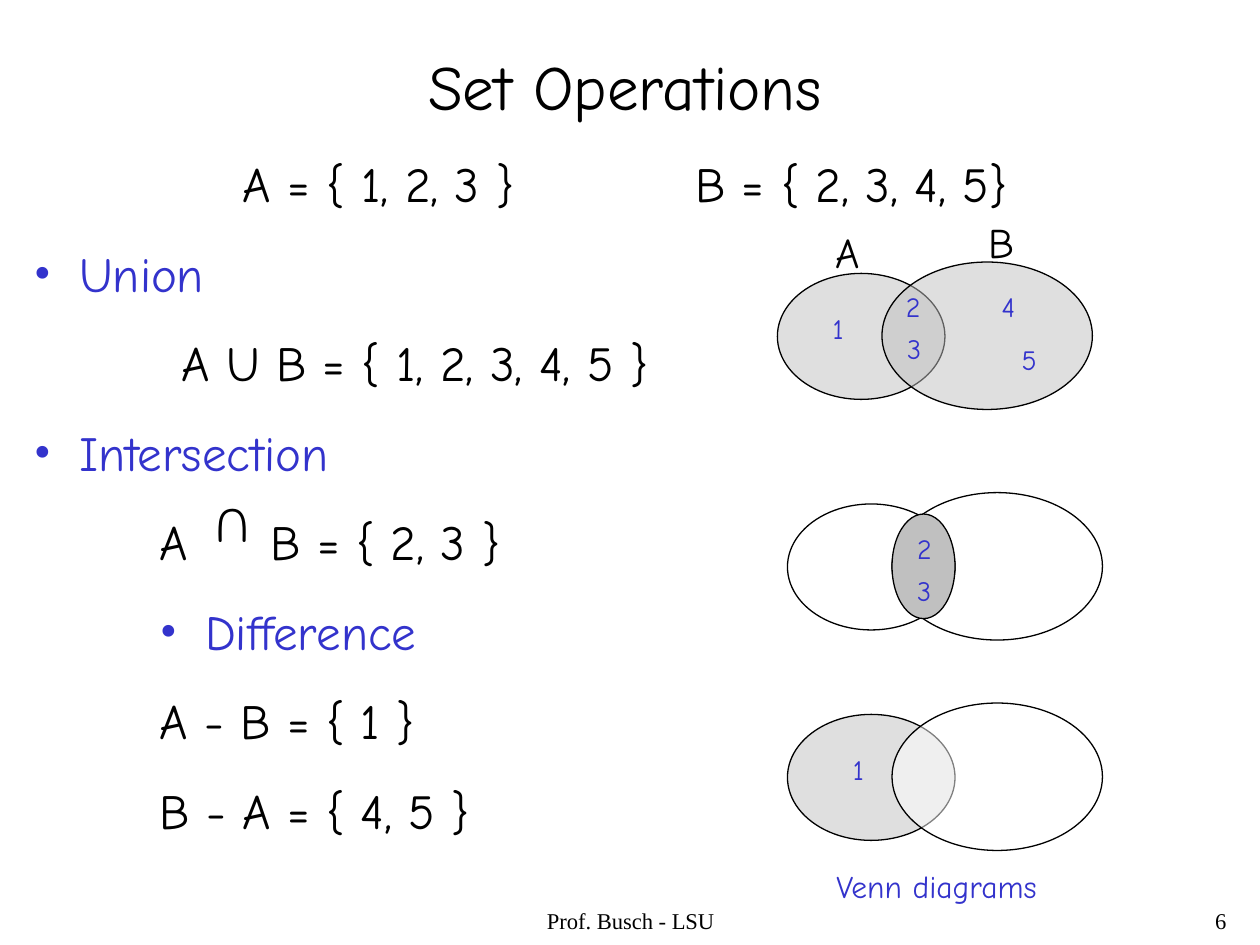
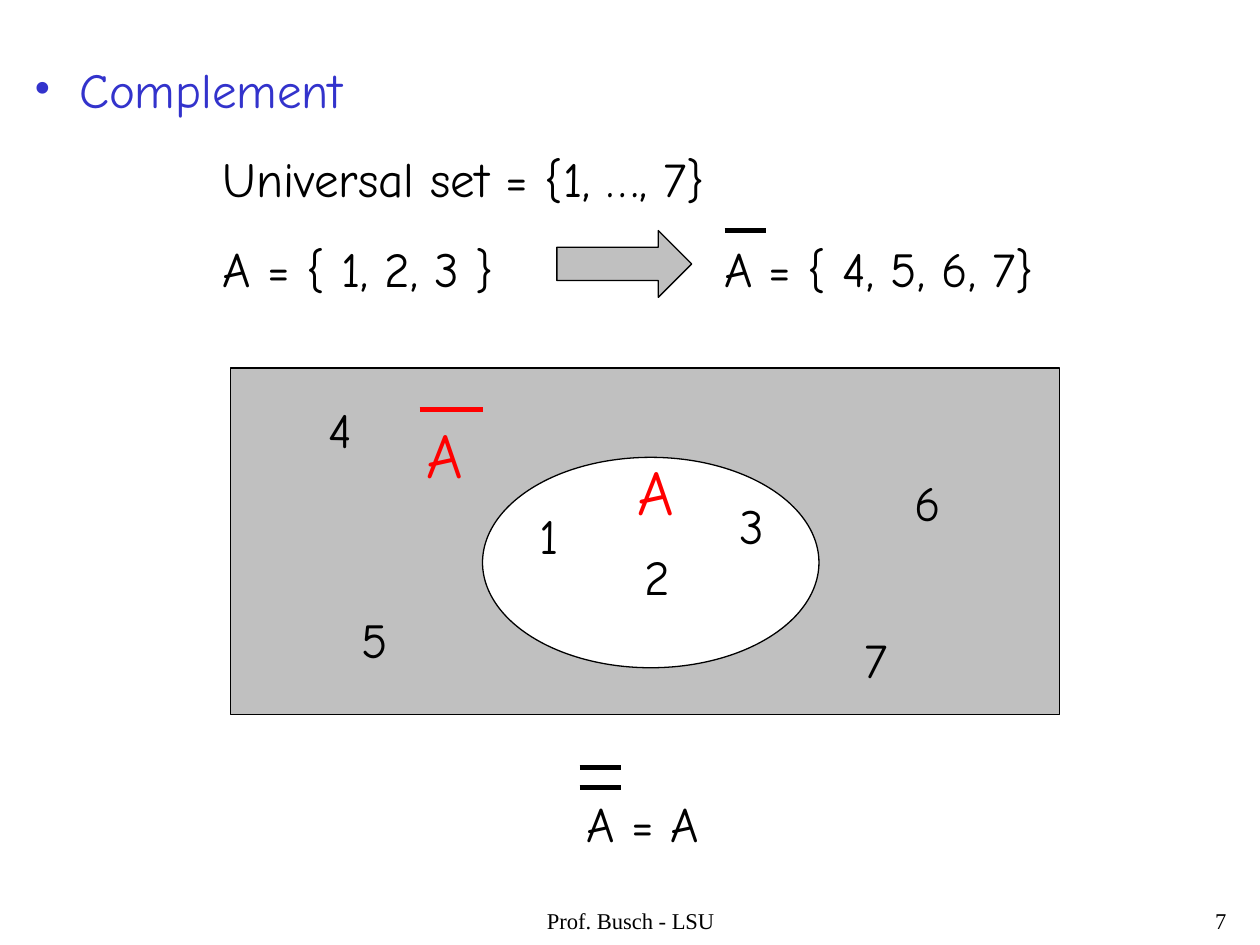
from dataclasses import dataclass
from typing import Optional

from lxml import etree
from pptx import Presentation
from pptx import util as u
from pptx.dml import color as dml
from pptx.enum import shapes, text
from pptx.oxml import ns

Inches, Pt = u.Inches, u.Pt


@dataclass(frozen=True)
class Theme:
    hand: str = "Comic Neue"
    serif: str = "Times New Roman"
    black: str = "000000"
    blue: str = "3333CC"
    red: str = "FF0000"
    gray: str = "C0C0C0"
    white: str = "FFFFFF"
    title: float = 36
    body: float = 28
    name: float = 24
    note: float = 18
    small: float = 16
    foot: float = 12.9
    gap: float = 17.5
    thin: float = 0.75
    bar: float = 3
    hang: float = 0.36


T = Theme()
SHAPE, ALIGN = shapes.MSO_SHAPE, text.PP_ALIGN


@dataclass(frozen=True)
class Para:
    text: str
    color: str = T.black
    size: float = T.body
    left: float = 0
    bullet: bool = False
    tabs: tuple[float, ...] = ()
    align: ALIGN = ALIGN.LEFT


@dataclass(frozen=True)
class Label:
    text: str
    x: float
    y: float
    w: float
    h: float


@dataclass(frozen=True)
class Fill:
    color: str
    alpha: int = 100


@dataclass(frozen=True)
class Bar:
    x: float
    y: float
    w: float
    color: str = T.black


def rgb(code: str) -> dml.RGBColor:
    return dml.RGBColor.from_string(code)


def sub(node, tag: str, **attrs):
    return etree.SubElement(node, ns.qn(tag), **attrs)


def style(par, size: float, color: str, font: str = T.hand) -> None:
    for run in par.runs:
        run.font.size = Pt(size)
        run.font.name = font
        run.font.color.rgb = rgb(color)


def add_box(slide, x: float, y: float, w: float, h: float, wrap: bool = True):
    box = slide.shapes.add_textbox(Inches(x), Inches(y), Inches(w), Inches(h))
    box.text_frame.word_wrap = wrap
    return box


def add_label(slide, item: Label, size: float, color: str = T.black) -> None:
    frame = add_box(slide, item.x, item.y, item.w, item.h, False).text_frame
    frame.text = item.text
    style(frame.paragraphs[0], size, color)


def add_text(slide, x: float, y: float, w: float, h: float,
             items: list[Para]) -> None:
    frame = add_box(slide, x, y, w, h).text_frame
    for i, item in enumerate(items):
        par = frame.add_paragraph() if i else frame.paragraphs[0]
        par.text = item.text
        par.alignment = item.align
        if i:
            par.space_before = Pt(T.gap)
        props = par._p.get_or_add_pPr()
        if item.bullet:
            props.set("marL", str(Inches(item.left + T.hang)))
            props.set("indent", str(Inches(-T.hang)))
            tint = sub(props, "a:buClr")
            sub(tint, "a:srgbClr", val=item.color)
            sub(props, "a:buFont", typeface=T.serif)
            sub(props, "a:buChar", char="•")
        elif item.left:
            props.set("marL", str(Inches(item.left)))
        # Tab stops only hold on paragraphs without an indent
        if item.tabs:
            stops = sub(props, "a:tabLst")
            for stop in item.tabs:
                sub(stops, "a:tab", pos=str(Inches(stop)), algn="l")
        style(par, item.size, item.color)


def add_form(slide, kind: SHAPE, x: float, y: float, w: float, h: float,
             fill: Optional[Fill] = None):
    form = slide.shapes.add_shape(kind, Inches(x), Inches(y),
                                  Inches(w), Inches(h))
    form.shadow.inherit = False
    form.line.color.rgb = rgb(T.black)
    form.line.width = Pt(T.thin)
    if fill is None:
        form.fill.background()
        return form
    form.fill.solid()
    form.fill.fore_color.rgb = rgb(fill.color)
    if fill.alpha < 100:
        tint = form._element.spPr.find(".//" + ns.qn("a:srgbClr"))
        sub(tint, "a:alpha", val=str(fill.alpha * 1000))
    return form


def add_bar(slide, bar: Bar) -> None:
    line = slide.shapes.add_connector(
        shapes.MSO_CONNECTOR.STRAIGHT, Inches(bar.x), Inches(bar.y),
        Inches(bar.x + bar.w), Inches(bar.y))
    line.line.color.rgb = rgb(bar.color)
    line.line.width = Pt(T.bar)
    sub(line._element.spPr, "a:effectLst")


def add_venn(slide, x: float, y: float, left: Optional[Fill] = None,
             right: Optional[Fill] = None) -> None:
    add_form(slide, SHAPE.OVAL, x, y, 1.33, 1, left)
    add_form(slide, SHAPE.OVAL, x + 0.83, y - 0.09, 1.67, 1.17, right)


def add_page(deck, number: int):
    """Blank slide with the shared footer."""
    slide = deck.slides.add_slide(deck.slide_layouts[6])
    for words, x, w, align in (("Prof. Busch - LSU", 3.42, 3.17, ALIGN.CENTER),
                               (str(number), 7.75, 2.08, ALIGN.RIGHT)):
        frame = add_box(slide, x, 7.17, w, 0.33).text_frame
        frame.text = words
        par = frame.paragraphs[0]
        par.alignment = align
        par.line_spacing = 0.9
        style(par, T.foot, T.black, T.serif)
    return slide


def draw_sets(deck) -> None:
    slide = add_page(deck, 6)

    # Title, definitions and operations
    add_text(slide, 0.17, 0.33, 9.58, 6.38, [
        Para("Set Operations", size=T.title, align=ALIGN.CENTER),
        Para("\tA = { 1, 2, 3 }\tB = { 2, 3, 4, 5}", tabs=(1.66, 5.25)),
        Para("Union", T.blue, bullet=True),
        Para("A U B = { 1, 2, 3, 4, 5 }", left=1.17),
        Para("Intersection", T.blue, bullet=True),
        Para("\tA\tB = { 2, 3 }", tabs=(1, 1.88)),
        Para("Difference", T.blue, left=1, bullet=True),
        Para("A - B = { 1 }", left=1),
        Para("B - A = { 4, 5 }", left=1),
    ])
    # Intersection sign: a turned U
    cap = add_box(slide, 1.58, 3.91, 0.5, 0.57)
    cap.rotation = 180
    cap.text_frame.text = "U"
    style(cap.text_frame.paragraphs[0], T.body, T.black)

    # Venn diagrams: union, difference, intersection
    veil = Fill(T.gray, 50)
    add_venn(slide, 6.17, 2.17, veil, veil)
    add_venn(slide, 6.25, 5.67, veil, Fill(T.white, 50))
    add_venn(slide, 6.25, 4)
    add_form(slide, SHAPE.OVAL, 7.08, 4.08, 0.5, 0.83, Fill(T.gray))

    # Set names and members
    add_label(slide, Label("A", 6.53, 1.75, 0.39, 0.5), T.name)
    add_label(slide, Label("B", 7.75, 1.67, 0.4, 0.5), T.name)
    for digit, x, y, w in (("2", 7.09, 2.25, 0.31), ("3", 7.1, 2.58, 0.31),
                           ("1", 6.51, 2.42, 0.29), ("4", 7.85, 2.25, 0.31),
                           ("5", 8.01, 2.67, 0.32), ("2", 7.18, 4.17, 0.31),
                           ("3", 7.18, 4.5, 0.31), ("1", 6.67, 5.92, 0.29)):
        add_label(slide, Label(digit, x, y, w, 0.37), T.small, T.blue)
    add_label(slide, Label("Venn diagrams", 6.54, 6.83, 1.81, 0.4),
              T.note, T.blue)


def draw_rest(deck) -> None:
    slide = add_page(deck, 7)

    # Definitions
    add_text(slide, 0.17, 0.42, 9.67, 1.99, [
        Para("Complement", T.blue, bullet=True),
        Para("Universal set = {1, …, 7}", left=1.5),
        Para("\tA = { 1, 2, 3 }\tA = { 4, 5, 6, 7}", tabs=(1.5, 5.48)),
    ])
    add_form(slide, SHAPE.RIGHT_ARROW, 4.42, 1.83, 1.07, 0.53, Fill(T.gray))

    # Universal set with A inside
    add_form(slide, SHAPE.RECTANGLE, 1.83, 2.92, 6.58, 2.75, Fill(T.gray))
    add_form(slide, SHAPE.OVAL, 3.83, 3.63, 2.67, 1.67, Fill(T.white))
    for x, y in ((3.29, 3.25), (4.96, 3.54)):
        add_label(slide, Label("A", x, y, 0.49, 0.7), T.title, T.red)
    for digit, x, y, w in (("1", 4.18, 3.96, 0.35), ("2", 5.02, 4.29, 0.4),
                           ("3", 5.77, 3.88, 0.39), ("4", 2.51, 3.12, 0.39),
                           ("5", 2.77, 4.79, 0.41), ("6", 7.16, 3.7, 0.41),
                           ("7", 6.76, 4.95, 0.38)):
        add_label(slide, Label(digit, x, y, w, 0.57), T.body)

    # Double complement and the bars over each A
    add_label(slide, Label("A = A", 4.56, 6.25, 1.09, 0.57), T.body)
    for bar in (Bar(5.75, 1.83, 0.33), Bar(3.33, 3.25, 0.5, T.red),
                Bar(4.6, 6.25, 0.33), Bar(4.6, 6.09, 0.33)):
        add_bar(slide, bar)


def main() -> None:
    deck = Presentation()
    deck.slide_width, deck.slide_height = Inches(10), Inches(7.5)
    draw_sets(deck)
    draw_rest(deck)
    deck.save("out.pptx")


if __name__ == "__main__":
    main()
